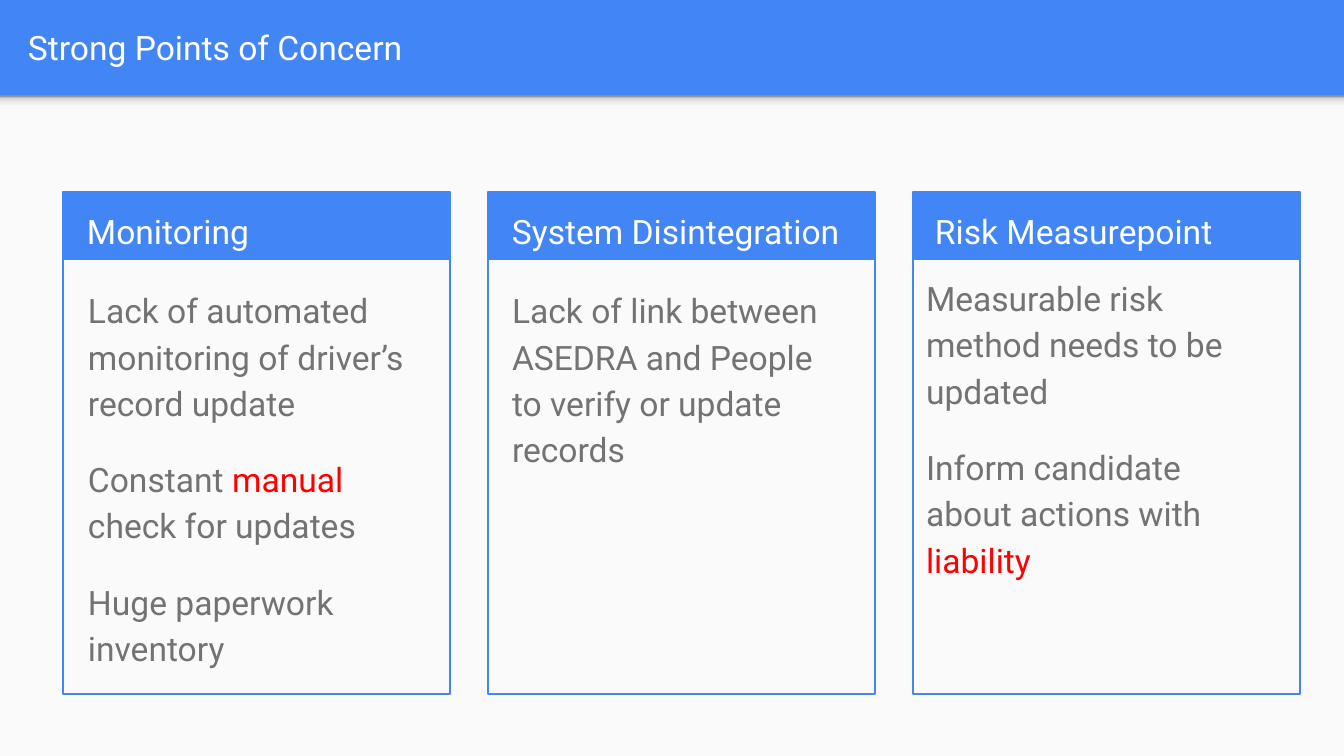
from lxml import etree
from pptx import Presentation
from pptx import util as u
from pptx.dml.color import RGBColor
from pptx.enum import shapes, text
from pptx.oxml.ns import qn

PX = 914400 / 134.4
BLUE, WHITE, PAPER, GREY, RED = "4285F4", "FFFFFF", "FAFAFA", "737373", "FF0000"
SLIDE_W, SLIDE_H, BANNER_H = 1344, 756, 96
CARD_LEFT, CARD_TOP, CARD_W, CARD_H, CARD_STEP = 63, 192, 387, 502, 425
HEAD_H, INSET = 68, 13
SHADE = [(0, "F9F9F9"), (36, "F9F9F9"), (80, "DEDEDE"), (100, "999999")]

CARDS = [
    ("Monitoring", (11, 0), (12, 79), [
        [("Lack of automated monitoring of driver’s record update", GREY)],
        [("Constant ", GREY), ("manual", RED), (" check for updates", GREY)],
        [("Huge paperwork inventory", GREY)],
    ]),
    ("System Disintegration", (11, 0), (11, 79), [
        [("Lack of link between ASEDRA and People to verify or update records", GREY)],
    ]),
    ("Risk Measurepoint", (9, 0), (0, 67), [
        [("Measurable risk method needs to be updated", GREY)],
        [("Inform candidate about actions with ", GREY), ("liability", RED)],
    ]),
]


def px(value):
    return u.Emu(round(value * PX))


def colour(code):
    return RGBColor.from_string(code)


def add_rect(page, left, top, width, height, fill=None, line=None):
    rect = page.shapes.add_shape(
        shapes.MSO_SHAPE.RECTANGLE, px(left), px(top), px(width), px(height))
    rect.shadow.inherit = False
    if fill:
        rect.fill.solid()
        rect.fill.fore_color.rgb = colour(fill)
    else:
        rect.fill.background()
    if line:
        rect.line.color.rgb = colour(line)
        rect.line.width = u.Pt(0.75)
    else:
        rect.line.fill.background()
    return rect


def add_shade(page):
    rect = add_rect(page, 0, BANNER_H, SLIDE_W, 16, PAPER)
    rect.fill.gradient()
    gradient = rect.fill._xPr.find(qn("a:gradFill"))
    stops = gradient.find(qn("a:gsLst"))
    for stop in list(stops):
        stops.remove(stop)
    for position, code in SHADE:
        stop = etree.SubElement(stops, qn("a:gs"), pos=str(position * 1000))
        etree.SubElement(stop, qn("a:srgbClr"), val=code)
    gradient.find(qn("a:lin")).set("ang", "16200000")


def write_text(box, paragraphs, anchor, spacing=None, after=0):
    frame = box.text_frame
    frame.word_wrap = True
    frame.auto_size = text.MSO_AUTO_SIZE.NONE
    frame.vertical_anchor = anchor
    frame.margin_left = frame.margin_right = px(INSET)
    frame.margin_top = frame.margin_bottom = px(INSET)
    for index, runs in enumerate(paragraphs):
        para = frame.add_paragraph() if index else frame.paragraphs[0]
        para.alignment = text.PP_ALIGN.LEFT
        para.line_spacing = spacing
        para.space_after = u.Pt(after)
        for words, code in runs:
            span = para.add_run()
            span.text = words
            span.font.name = "Roboto"
            span.font.size = u.Pt(18)
            span.font.color.rgb = colour(code)


def set_title(page, words):
    title = page.shapes.title
    title.left, title.top, title.width, title.height = px(15), px(3), px(1297), px(89)
    write_text(title, [[(words, WHITE)]], text.MSO_ANCHOR.MIDDLE)


def add_text(page, left, top, width, height, paragraphs, after=0):
    box = page.shapes.add_textbox(px(left), px(top), px(width), px(height))
    write_text(box, paragraphs, text.MSO_ANCHOR.TOP, 1.15, after)


def add_card(page, left, heading, heading_shift, body_shift, body):
    add_rect(page, left, CARD_TOP, CARD_W, HEAD_H, fill=BLUE)
    add_rect(page, left, CARD_TOP, CARD_W, CARD_H, line=BLUE)
    across, down = heading_shift
    add_text(page, left + across, CARD_TOP + down, 367, 67, [[(heading, WHITE)]])
    across, down = body_shift
    add_text(page, left + across, CARD_TOP + down, 364, 411, body, after=16)


def main():
    deck = Presentation()
    deck.slide_width, deck.slide_height = px(SLIDE_W), px(SLIDE_H)
    page = deck.slides.add_slide(deck.slide_layouts[5])
    page.background.fill.solid()
    page.background.fill.fore_color.rgb = colour(BLUE)
    add_rect(page, 0, BANNER_H, SLIDE_W, SLIDE_H - BANNER_H, fill=PAPER)
    add_shade(page)
    set_title(page, "Strong Points of Concern")
    for index, card in enumerate(CARDS):
        add_card(page, CARD_LEFT + index * CARD_STEP, *card)
    deck.save("out.pptx")


if __name__ == "__main__":
    main()
